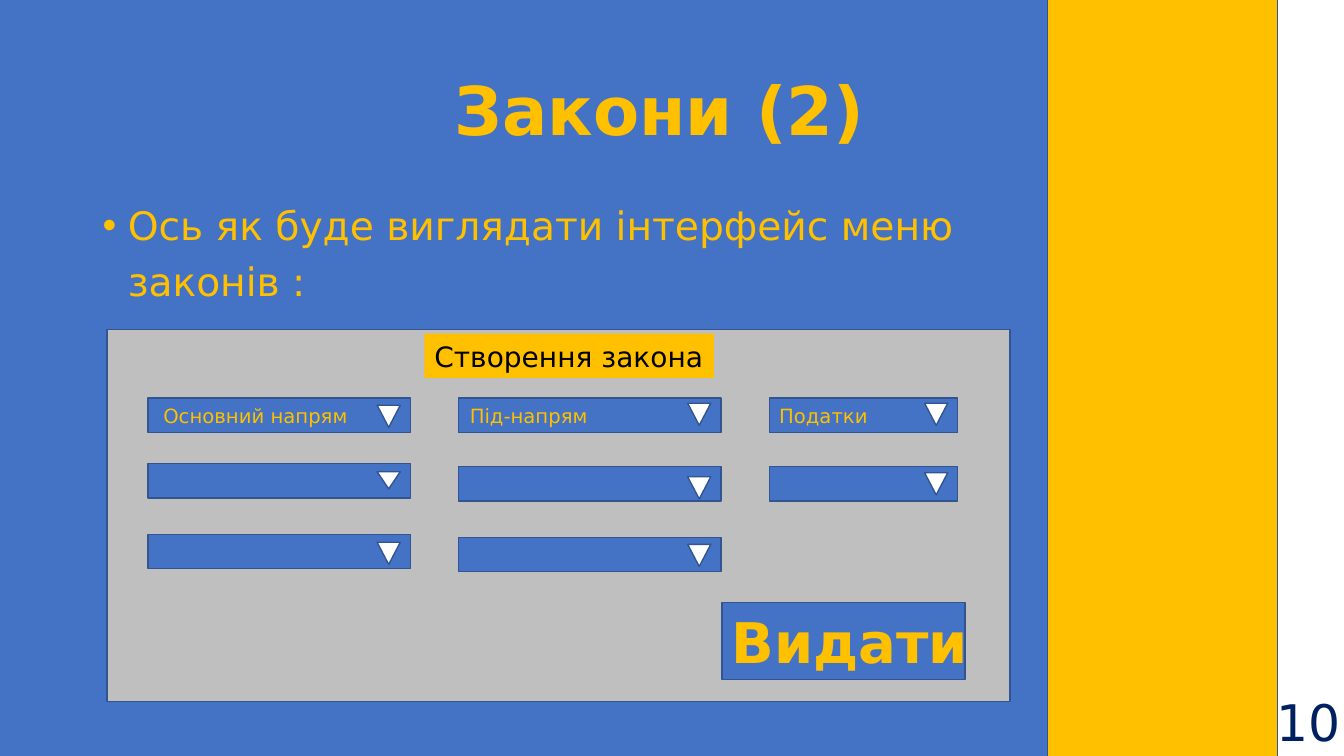
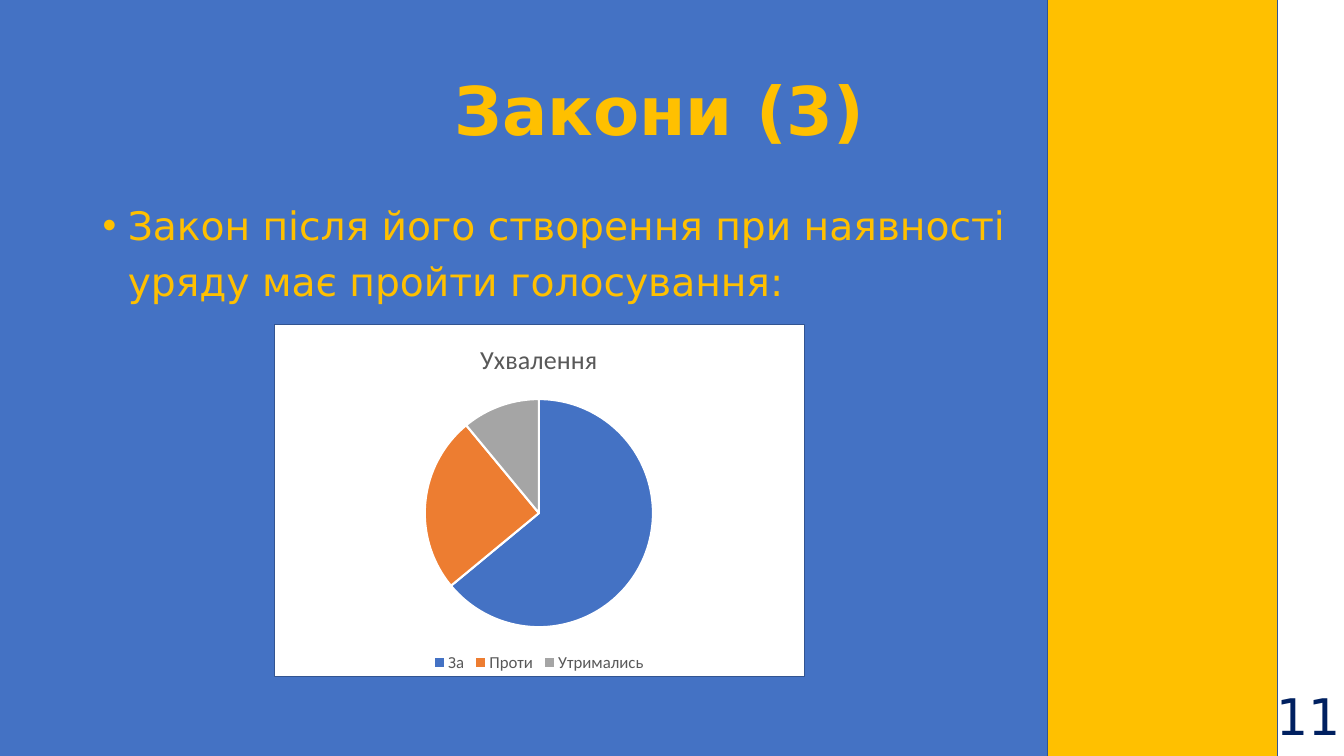
"""Build two slides about laws: a menu mock-up and a voting chart."""
from dataclasses import dataclass

from lxml.etree import SubElement
from pptx import Presentation
from pptx.chart.data import CategoryChartData
from pptx.dml.color import RGBColor
from pptx.enum.chart import XL_CHART_TYPE as CHART, XL_LEGEND_POSITION as LEGEND
from pptx.enum.shapes import MSO_SHAPE as SHAPE
from pptx.enum.text import MSO_ANCHOR as ANCHOR, MSO_AUTO_SIZE as AUTO, PP_ALIGN as ALIGN
from pptx.oxml.ns import qn
from pptx.util import Inches, Pt


@dataclass(frozen=True)
class Theme:
    blue: str = "4472C4"
    gold: str = "FFC000"
    edge: str = "325491"
    navy: str = "002060"
    panel: str = "BFBFBF"
    white: str = "FFFFFF"
    black: str = "000000"
    chart_text: str = "595959"
    slices: tuple = ("4472C4", "ED7D31", "A5A5A5")
    font: str = "DejaVu Sans"
    chart_font: str = "Calibri"
    title: float = 48
    button: float = 40
    number: float = 36
    body: float = 28
    heading: float = 20
    label: float = 14
    chart_title: float = 18.6
    legend: float = 12


T = Theme()

MENU = {
    "title": "Закони (2)",
    "body": ["Ось як буде виглядати інтерфейс меню", "законів :"],
    "number": ("10", 6.96),
    "heading": "Створення закона",
    "button": "Видати",
}
DROPDOWNS = [
    {"label": "Основний напрям", "left": 1.47, "width": 2.6, "inset": 0.15,
     "tops": (3.95, 4.6, 5.3), "arrows": ((4.02, 0.22), (4.68, 0.17), (5.38, 0.22))},
    {"label": "Під-напрям", "left": 4.55, "width": 2.6, "inset": 0.11,
     "tops": (3.95, 4.63, 5.33), "arrows": ((4, 0.22), (4.73, 0.22), (5.4, 0.22))},
    {"label": "Податки", "left": 7.63, "width": 1.87, "inset": 0.1,
     "tops": (3.95, 4.63), "arrows": ((4, 0.22), (4.69, 0.22))},
]
DROP_HEIGHT, ARROW_WIDTH, ARROW_GAP = 0.34, 0.23, 0.1

VOTE = {
    "title": "Закони (3)",
    "body": ["Закон після його створення при наявності", "уряду має пройти голосування:"],
    "number": ("11", 6.9),
    "chart": "Ухвалення",
    "votes": {"За": 64, "Проти": 25, "Утримались": 11},
}


def rgb(color):
    return RGBColor.from_string(color)


def style(font, size, color, name=T.font, bold=False):
    font.name, font.size, font.bold = name, Pt(size), bold
    font.color.rgb = rgb(color)


def box(s, at, fill, line=T.edge, kind=SHAPE.RECTANGLE):
    sp = s.shapes.add_shape(kind, *map(Inches, at))
    sp.shadow.inherit = False
    sp.fill.solid()
    sp.fill.fore_color.rgb = rgb(fill)
    if line:
        sp.line.color.rgb = rgb(line)
        sp.line.width = Pt(1)
    else:
        sp.line.fill.background()
    return sp


def write(sp, text, size, color, bold=False, align=ALIGN.LEFT, inset=0.1):
    tf = sp.text_frame
    tf.word_wrap, tf.auto_size = False, AUTO.NONE
    tf.vertical_anchor = ANCHOR.MIDDLE
    tf.margin_left = tf.margin_right = Inches(inset)
    p = tf.paragraphs[0]
    p.alignment = align
    r = p.add_run()
    r.text = text
    style(r.font, size, color, bold=bold)
    return p


def add_body(s, lines):
    sp = s.shapes.add_textbox(Inches(0.92), Inches(2), Inches(9.4), Inches(1.2))
    tf = sp.text_frame
    tf.word_wrap = True
    for i, line in enumerate(lines):
        p = tf.add_paragraph() if i else tf.paragraphs[0]
        p.line_spacing, p.space_before = 0.9, Pt(10)
        pPr = p._p.get_or_add_pPr()
        pPr.set("marL", str(Inches(0.25)))
        pPr.set("indent", str(0 if i else Inches(-0.25)))
        if not i:
            SubElement(pPr, qn("a:buFont")).set("typeface", "Arial")
            SubElement(pPr, qn("a:buChar")).set("char", "•")
        r = p.add_run()
        r.text = line
        style(r.font, T.body, T.gold)


def add_base(prs, content):
    s = prs.slides.add_slide(prs.slide_layouts[5])
    title = s.shapes.title
    box(s, (10.39, -0.1, 2.28, 7.7), T.gold)
    box(s, (-0.1, -0.1, 10.49, 7.7), T.blue)
    s.shapes._spTree.append(title._element)
    title.left, title.top = Inches(4.41), Inches(0.4)
    title.width, title.height = Inches(5.9), Inches(1.45)
    p = write(title, content["title"], T.title, T.gold, bold=True)
    p.line_spacing = 0.9
    add_body(s, content["body"])
    number, top = content["number"]
    sp = s.shapes.add_textbox(Inches(12.33), Inches(top), Inches(1), Inches(0.4))
    write(sp, number, T.number, T.navy, align=ALIGN.RIGHT, inset=0.03)
    return s


def add_dropdowns(s, column):
    left, width = column["left"], column["width"]
    arrow_left = left + width - ARROW_GAP - ARROW_WIDTH
    for i, (top, (arrow_top, arrow_height)) in enumerate(zip(column["tops"], column["arrows"])):
        sp = box(s, (left, top, width, DROP_HEIGHT), T.blue)
        if i == 0:
            write(sp, column["label"], T.label, T.gold, inset=column["inset"])
        arrow = box(s, (arrow_left, arrow_top, ARROW_WIDTH, arrow_height), T.white,
                    kind=SHAPE.ISOSCELES_TRIANGLE)
        arrow.rotation = 180


def add_menu_slide(prs):
    s = add_base(prs, MENU)
    box(s, (1.06, 3.27, 8.96, 3.69), T.panel)
    heading = box(s, (4.21, 3.31, 2.87, 0.44), T.gold, line=None)
    write(heading, MENU["heading"], T.heading, T.black)
    for column in DROPDOWNS:
        add_dropdowns(s, column)
    button = box(s, (7.16, 5.98, 2.41, 0.76), T.blue)
    write(button, MENU["button"], T.button, T.gold, bold=True)


def add_vote_slide(prs):
    s = add_base(prs, VOTE)
    box(s, (2.72, 3.22, 5.26, 3.49), T.white)
    data = CategoryChartData()
    data.categories = list(VOTE["votes"])
    data.add_series(VOTE["chart"], list(VOTE["votes"].values()))
    at = map(Inches, (2.22, 3.22, 6.25, 3.49))
    chart = s.shapes.add_chart(CHART.PIE, *at, data).chart
    style(chart.font, T.legend, T.chart_text, T.chart_font)
    chart.has_title = True
    r = chart.chart_title.text_frame.paragraphs[0].add_run()
    r.text = VOTE["chart"]
    style(r.font, T.chart_title, T.chart_text, T.chart_font)
    chart.chart_title.include_in_layout = False
    chart.has_legend = True
    chart.legend.position = LEGEND.BOTTOM
    chart.legend.include_in_layout = False
    style(chart.legend.font, T.legend, T.chart_text, T.chart_font)
    plot = chart.plots[0]
    plot.vary_by_categories = True
    for i, color in enumerate(T.slices):
        fmt = plot.series[0].points[i].format
        fmt.fill.solid()
        fmt.fill.fore_color.rgb = rgb(color)
        fmt.line.color.rgb = rgb(T.white)
        fmt.line.width = Pt(1.5)


def main():
    prs = Presentation()
    prs.slide_width, prs.slide_height = Inches(13.33), Inches(7.5)
    add_menu_slide(prs)
    add_vote_slide(prs)
    prs.save("out.pptx")


if __name__ == "__main__":
    main()
